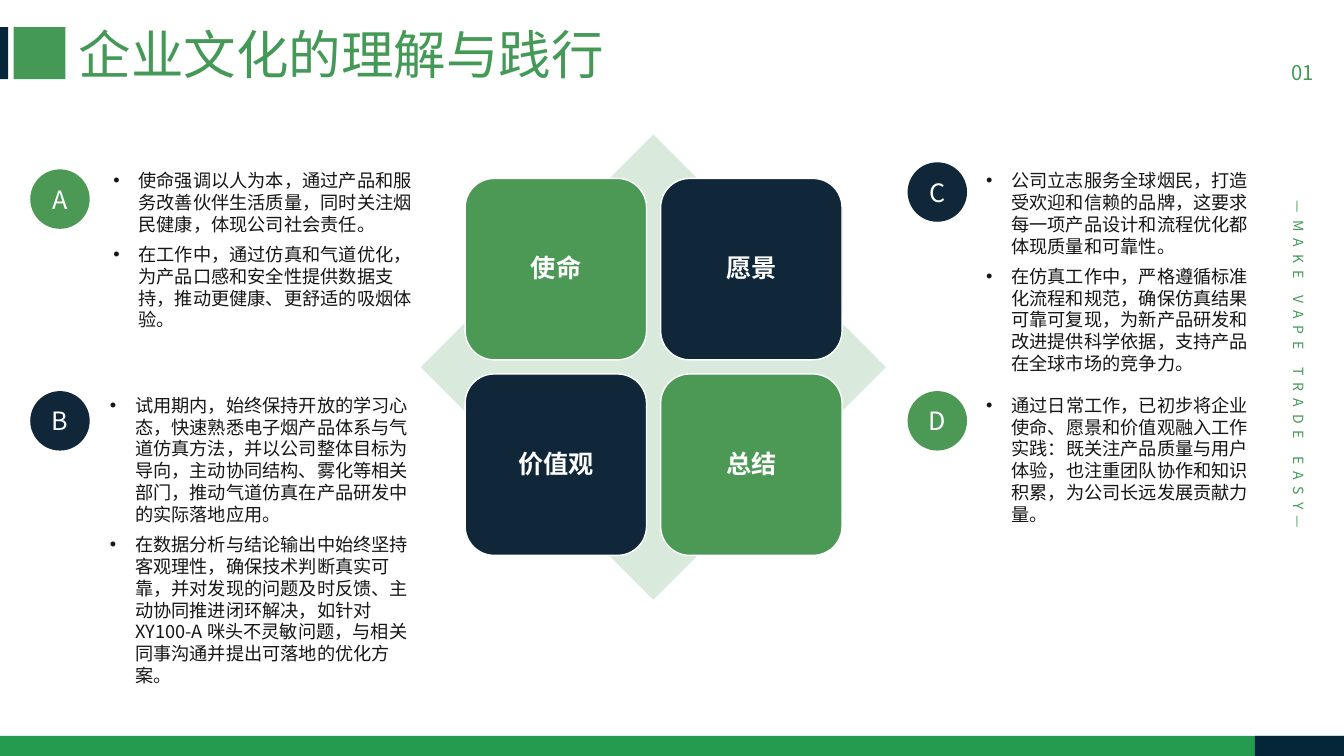
from dataclasses import dataclass

from lxml.etree import SubElement
from pptx import Presentation
from pptx.dml.color import RGBColor
from pptx.enum.shapes import MSO_SHAPE
from pptx.enum.text import MSO_ANCHOR, MSO_AUTO_SIZE, PP_ALIGN
from pptx.oxml.ns import qn
from pptx.util import Inches, Pt

FONT = "Noto Sans CJK SC"
GREEN = RGBColor(0x4C, 0x99, 0x56)
TITLE_GREEN = RGBColor(0x44, 0x99, 0x56)
FOOTER_GREEN = RGBColor(0x24, 0x9B, 0x4E)
NAVY = RGBColor(0x0F, 0x27, 0x38)
DARK_NAVY = RGBColor(0x05, 0x26, 0x38)
INK = RGBColor(0x15, 0x16, 0x15)
WHITE = RGBColor(0xFF, 0xFF, 0xFF)

CARD_LEFT, CARD_TOP, CARD_SIZE, CARD_STEP = 9.23, 3.54, 3.6, 3.88
BADGE_SIZE = 1.18


@dataclass
class Box:
    left: float
    top: float
    width: float
    height: float

    def emu(self) -> list:
        return [Inches(v) for v in (self.left, self.top, self.width, self.height)]


@dataclass
class Topic:
    letter: str
    color: RGBColor
    badge_at: tuple[float, float]
    body: Box
    points: list[str]


CARDS = [["使命", "愿景"], ["价值观", "总结"]]

TOPICS = [
    Topic("A", GREEN, (0.6, 3.36), Box(2.25, 3.36, 6.03, 2.19), [
        "使命强调以人为本，通过产品和服务改善伙伴生活质量，同时关注烟民健康，体现公司社会责任。",
        "在工作中，通过仿真和气道优化，为产品口感和安全性提供数据支持，推动更健康、更舒适的吸烟体验。",
    ]),
    Topic("B", NAVY, (0.6, 7.76), Box(2.18, 7.82, 6.09, 4.82), [
        "试用期内，始终保持开放的学习心态，快速熟悉电子烟产品体系与气道仿真方法，"
        "并以公司整体目标为导向，主动协同结构、雾化等相关部门，推动气道仿真在产品研发中的实际落地应用。",
        "在数据分析与结论输出中始终坚持客观理性，确保技术判断真实可靠，并对发现的问题及时反馈、"
        "主动协同推进闭环解决，如针对 XY100-A 咪头不灵敏问题，与相关同事沟通并提出可落地的优化方案。",
    ]),
    Topic("C", NAVY, (18.01, 3.22), Box(19.57, 3.36, 5.34, 2.19), [
        "公司立志服务全球烟民，打造受欢迎和信赖的品牌，这要求每一项产品设计和流程优化都体现质量和可靠性。",
        "在仿真工作中，严格遵循标准化流程和规范，确保仿真结果可靠可复现，"
        "为新产品研发和改进提供科学依据，支持产品在全球市场的竞争力。",
    ]),
    Topic("D", GREEN, (18.01, 7.76), Box(19.57, 7.82, 5.31, 3.58), [
        "通过日常工作，已初步将企业使命、愿景和价值观融入工作实践：既关注产品质量与用户体验，"
        "也注重团队协作和知识积累，为公司长远发展贡献力量。",
    ]),
]


def add_block(s, kind: MSO_SHAPE, box: Box, color: RGBColor):
    sp = s.shapes.add_shape(kind, *box.emu())
    sp.shadow.inherit = False
    sp.fill.solid()
    sp.fill.fore_color.rgb = color
    sp.line.fill.background()
    return sp


def add_textbox(s, box: Box, margin: float, wrap: bool = True):
    sp = s.shapes.add_textbox(*box.emu())
    tf = sp.text_frame
    tf.word_wrap = wrap
    tf.margin_left = tf.margin_right = tf.margin_top = tf.margin_bottom = Inches(margin)
    return tf


def add_run(p, text: str, size: float, color: RGBColor, bold: bool = False):
    r = p.add_run()
    r.text = text
    r.font.size = Pt(size)
    r.font.name = FONT
    r.font.bold = bold
    r.font.color.rgb = color
    rpr = r.font._element
    SubElement(rpr, qn("a:ea")).set("typeface", FONT)
    return rpr


def add_label(s, box: Box, text: str, size: float, color: RGBColor, margin: float = 0.06,
              wrap: bool = False, bold: bool = False, spacing: float = 1.0):
    """Add one centred line; return its frame and run properties."""
    tf = add_textbox(s, box, margin, wrap)
    tf.vertical_anchor = MSO_ANCHOR.MIDDLE
    tf.auto_size = MSO_AUTO_SIZE.SHAPE_TO_FIT_TEXT
    p = tf.paragraphs[0]
    p.alignment = PP_ALIGN.CENTER
    p.line_spacing = spacing
    return tf, add_run(p, text, size, color, bold)


def add_slogan(s):
    tf, rpr = add_label(s, Box(25.64, 3.92, 0.44, 7.15), "—MAKE VAPE TRADE EASY—",
                        20, TITLE_GREEN, spacing=1.5)
    tf._txBody.bodyPr.set("vert", "eaVert")
    rpr.set("spc", "1000")


def add_bullets(s, box: Box, points: list[str]):
    tf = add_textbox(s, box, 0)
    for i, point in enumerate(points):
        p = tf.add_paragraph() if i else tf.paragraphs[0]
        p.space_before = Pt(12 if i else 0)
        ppr = p._p.get_or_add_pPr()
        ppr.set("marL", str(Inches(0.5)))
        ppr.set("indent", str(-Inches(0.5)))
        ppr.set("hangingPunct", "0")
        SubElement(ppr, qn("a:buFont")).set("typeface", "Arial")
        SubElement(ppr, qn("a:buChar")).set("char", "•")
        add_run(p, point, 26, INK)


def add_matrix(s):
    """Add the pale diamond with the four cards over it."""
    diamond = add_block(s, MSO_SHAPE.DIAMOND, Box(8.35, 2.67, 9.23, 9.23), GREEN)
    color = diamond._element.spPr.find(qn("a:solidFill"))[0]
    SubElement(color, qn("a:alpha")).set("val", "21000")
    for row, names in enumerate(CARDS):
        for col, name in enumerate(names):
            left, top = CARD_LEFT + col * CARD_STEP, CARD_TOP + row * CARD_STEP
            card = add_block(s, MSO_SHAPE.ROUNDED_RECTANGLE,
                             Box(left, top, CARD_SIZE, CARD_SIZE),
                             GREEN if row == col else NAVY)
            card.adjustments[0] = 0.16
            card.line.color.rgb = WHITE
            card.line.width = Pt(2)
            add_label(s, Box(left + 0.18, top + 1.42, 3.25, 0.78), name, 36, WHITE,
                      margin=0.12, wrap=True, bold=True, spacing=0.9)


def add_topic(s, topic: Topic):
    left, top = topic.badge_at
    add_block(s, MSO_SHAPE.OVAL, Box(left, top, BADGE_SIZE, BADGE_SIZE), topic.color)
    add_label(s, Box(left + 0.17, top + 0.21, 0.84, 0.76), topic.letter, 36, WHITE,
              margin=0.1, wrap=True)
    add_bullets(s, topic.body, topic.points)


def main():
    prs = Presentation()
    prs.slide_width, prs.slide_height = Inches(26.67), Inches(15)
    s = prs.slides.add_slide(prs.slide_layouts[6])

    for box, color in [
        (Box(0.27, 0.54, 1.03, 1.03), TITLE_GREEN),
        (Box(0, 0.54, 0.16, 1.03), DARK_NAVY),
        (Box(0, 14.6, 26.67, 0.4), FOOTER_GREEN),
        (Box(24.9, 14.6, 1.77, 0.4), DARK_NAVY),
    ]:
        add_block(s, MSO_SHAPE.RECTANGLE, box, color)
    add_label(s, Box(1.46, 0.37, 10.63, 1.37), "企业文化的理解与践行", 75, TITLE_GREEN)
    add_label(s, Box(25.57, 1.14, 0.57, 0.59), "01", 29, TITLE_GREEN)
    add_slogan(s)
    add_matrix(s)
    for topic in TOPICS:
        add_topic(s, topic)

    prs.save("out.pptx")


if __name__ == "__main__":
    main()
